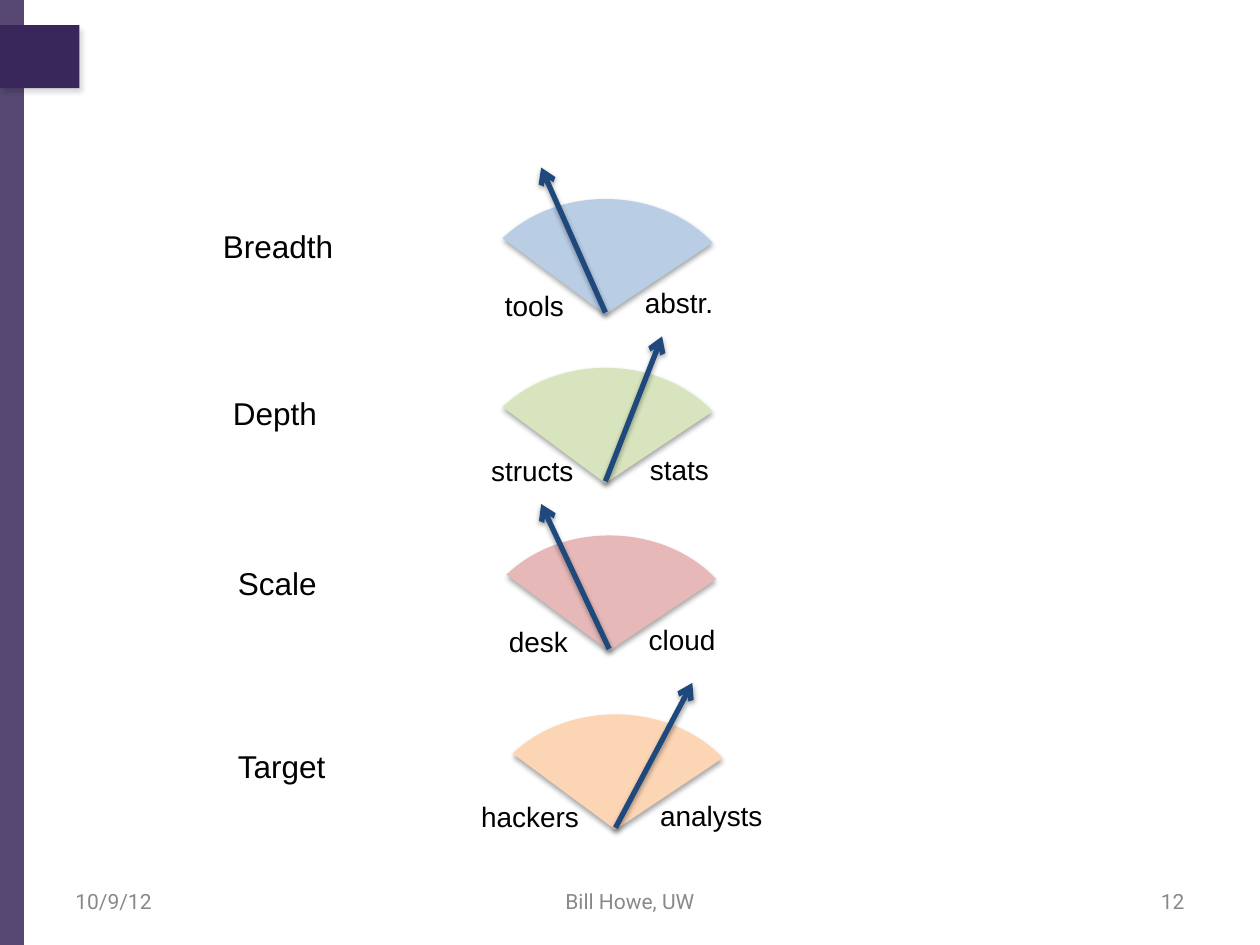
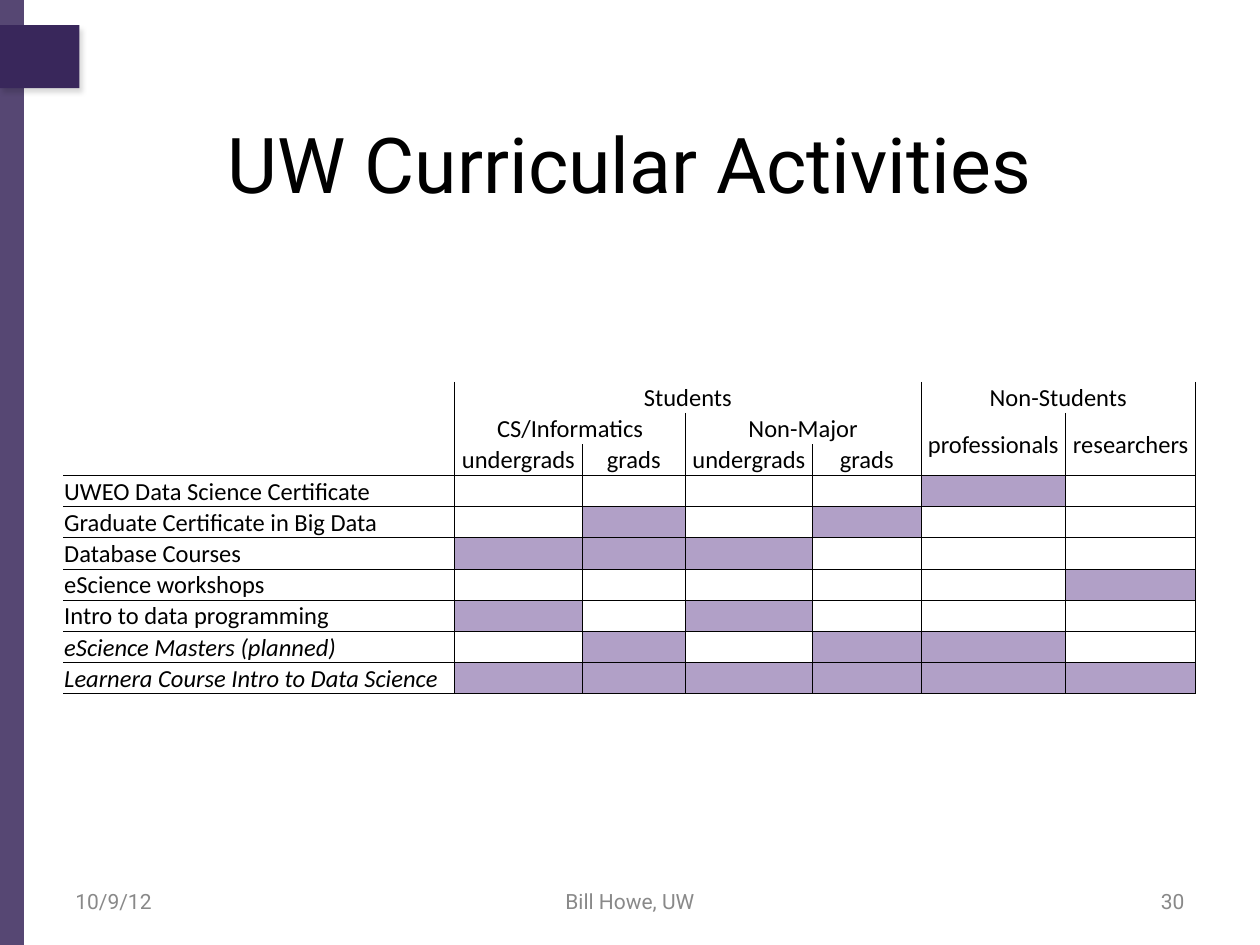
from dataclasses import dataclass
from lxml.etree import SubElement
from pptx import Presentation
from pptx.dml.color import RGBColor as RGB
from pptx.enum.shapes import MSO_CONNECTOR as Line, MSO_SHAPE as Shape
from pptx.enum.text import MSO_ANCHOR as Anchor, PP_ALIGN as Align
from pptx.oxml.ns import qn
from pptx.util import Inches, Pt


@dataclass(frozen=True)
class Theme:
    purple: str = "39275B"
    mark: str = "B1A0C7"
    needle: str = "1F497D"
    ink: str = "000000"
    grey: str = "898989"
    head: str = "Roboto"
    body: str = "Arial"
    grid: str = "Calibri"
    title: int = 44
    name: int = 18
    label: int = 16
    cell: int = 14
    foot: int = 12


T = Theme()
WIDE, HIGH = 10, 7.5
EDGE = 0.5

DATE, AUTHOR = "10/9/12", "Bill Howe, UW"

# Name and its place, colour, fan corner, needle reach,
# then each end's word with its offset from the fan corner.
DIALS = [
    ("Breadth", (1.67, 1.75), "B9CDE5", (3.72, 1.58), -0.51,
     [("tools", 0.19, 0.66), ("abstr.", 1.3, 0.64)]),
    ("Depth", (1.75, 3.08), "D7E4BD", (3.72, 2.92), 0.45,
     [("structs", 0.08, 0.63), ("stats", 1.34, 0.62)]),
    ("Scale", (1.79, 4.43), "E6B9B8", (3.75, 4.25), -0.54,
     [("desk", 0.19, 0.66), ("cloud", 1.3, 0.64)]),
    ("Target", (1.79, 5.88), "FCD5B5", (3.8, 5.67), 0.61,
     [("hackers", -0.08, 0.63), ("analysts", 1.34, 0.62)]),
]
FAN = (2.17, 1.83)
SWEEP = (216.53, 326.29)
RISE = 1.15

TITLE = "UW Curricular Activities"
COLS = [3.11, 1.01, 0.82, 1.01, 0.86, 1.15, 1.03]
ROW = 0.248
# Row, column, rows spanned, columns spanned, text
HEADS = [
    (0, 1, 1, 4, "Students"), (0, 5, 1, 2, "Non-Students"),
    (1, 1, 1, 2, "CS/Informatics"), (1, 3, 1, 2, "Non-Major"),
    (1, 5, 2, 1, "professionals"), (1, 6, 2, 1, "researchers"),
    (2, 1, 1, 1, "undergrads"), (2, 2, 1, 1, "grads"),
    (2, 3, 1, 1, "undergrads"), (2, 4, 1, 1, "grads"),
]
TOP = 3
# Course, audiences it serves (x), planned
COURSES = [
    ("UWEO Data Science Certificate", "....x.", False),
    ("Graduate Certificate in Big Data", ".x.x..", False),
    ("Database Courses", "xxx...", False),
    ("eScience workshops", ".....x", False),
    ("Intro to data programming", "x.x...", False),
    ("eScience Masters (planned)", ".x.xx.", True),
    ("Learnera Course Intro to Data Science", "xxxxxx", True),
]
NO_STYLE = "{2D5ABB26-0587-4C30-8999-92F81FD0307C}"


def style(para, size, face, color=T.ink, align=Align.LEFT, italic=None):
    para.alignment = align
    for run in para.runs:
        font = run.font
        font.size, font.name, font.italic = Pt(size), face, italic
        font.color.rgb = RGB.from_string(color)


def write(slide, text, box, size, face, color=T.ink, align=Align.LEFT,
          anchor=Anchor.TOP):
    frame = slide.shapes.add_textbox(*map(Inches, box)).text_frame
    frame.word_wrap = True
    frame.vertical_anchor = anchor
    frame.text = text
    style(frame.paragraphs[0], size, face, color, align)


def shade(shape, alpha, blur, dist, angle):
    """Give a shape, already filled and lined, a soft black shadow."""
    effects = SubElement(shape.element.spPr, qn("a:effectLst"))
    outer = SubElement(effects, qn("a:outerShdw"), blurRad=str(Pt(blur)),
                       dist=str(Pt(dist)), dir=str(angle * 60000),
                       rotWithShape="0")
    color = SubElement(outer, qn("a:srgbClr"), val=T.ink)
    SubElement(color, qn("a:alpha"), val=str(alpha * 1000))


def draw(slide, kind, box, color):
    shape = slide.shapes.add_shape(kind, *map(Inches, box))
    shape.fill.solid()
    shape.fill.fore_color.rgb = RGB.from_string(color)
    shape.line.fill.background()
    return shape


def start(deck, number):
    """Add a slide with the side band, tab and footers."""
    slide = deck.slides.add_slide(deck.slide_layouts[6])
    band = draw(slide, Shape.RECTANGLE, (0, 0, 0.19, HIGH), T.purple)
    band.shadow.inherit = False
    color = band.element.spPr.find(qn("a:solidFill"))[0]
    SubElement(color, qn("a:alpha"), val="85000")
    tab = draw(slide, Shape.RECTANGLE, (0, 0.2, 0.63, 0.5), T.purple)
    shade(tab, 15, 3, 3, 60)
    side, mid = 2.33, 3.17
    for text, left, width, align in [
            (DATE, EDGE, side, Align.LEFT),
            (AUTHOR, (WIDE - mid) / 2, mid, Align.CENTER),
            (str(number), WIDE - EDGE - side, side, Align.RIGHT)]:
        write(slide, text, (left, 6.95, width, 0.4), T.foot, T.head,
              T.grey, align, Anchor.MIDDLE)
    return slide


def dial(slide, name, spot, color, corner, reach, ends):
    x, y = corner
    fan = draw(slide, Shape.PIE, (*corner, *FAN), color)
    for i, angle in enumerate(SWEEP):
        fan.adjustments[i] = angle * 0.6
    shade(fan, 35, 3.1, 1.8, 90)
    for word, dx, dy in ends:
        write(slide, word, (x + dx, y + dy, 1.07, 0.37), T.label, T.body)
    hub, base = x + FAN[0] / 2, y + 0.9
    needle = slide.shapes.add_connector(
        Line.STRAIGHT, *map(Inches, (hub, base, hub + reach, base - RISE)))
    needle.line.width = Pt(3)
    needle.line.color.rgb = RGB.from_string(T.needle)
    SubElement(needle.line._get_or_add_ln(), qn("a:tailEnd"), type="arrow")
    shade(needle, 38, 3.1, 1.6, 90)
    write(slide, name, (*spot, 1.75, 0.4), T.name, T.body)


def rule(cell, sides):
    """Draw thin lines on the given sides, named in the order L R T B."""
    props = cell._tc.get_or_add_tcPr()
    for side in sides:
        line = SubElement(props, qn("a:ln" + side), w=str(Pt(0.5)))
        fill = SubElement(line, qn("a:solidFill"))
        SubElement(fill, qn("a:srgbClr"), val=T.ink)


def fill_cell(cell, text="", sides="", align=Align.LEFT,
              anchor=Anchor.BOTTOM, italic=None, color=None):
    cell.margin_left = cell.margin_right = cell.margin_top = Inches(0.01)
    cell.margin_bottom = 0
    cell.vertical_anchor = anchor
    cell.text = text
    para = cell.text_frame.paragraphs[0]
    style(para, T.cell, T.grid, align=align, italic=italic)
    if not text:
        SubElement(para._p, qn("a:endParaRPr"), sz=str(T.cell * 100))
    rule(cell, sides)
    if color:
        cell.fill.solid()
        cell.fill.fore_color.rgb = RGB.from_string(color)
    else:
        cell.fill.background()


def chart_out(slide):
    """Lay out the table of courses against audiences."""
    count = TOP + len(COURSES)
    frame = slide.shapes.add_table(
        count, len(COLS),
        *map(Inches, (EDGE, 3.03, sum(COLS), ROW * count)))
    table = frame.table
    table.first_row = table.horz_banding = False
    table._tbl.tblPr.find(qn("a:tableStyleId")).text = NO_STYLE
    for col, width in zip(table.columns, COLS):
        col.width = Inches(width)
    for row in table.rows:
        row.height = Inches(ROW)

    heads = {(r, c): rest for r, c, *rest in HEADS}
    for r in range(TOP):
        for c in range(len(COLS)):
            cell = table.cell(r, c)
            if (r, c) in heads:
                down, across, text = heads[r, c]
                sides = "LRB" if r + down == TOP else "LR"
                fill_cell(cell, text, sides, Align.CENTER,
                          Anchor.MIDDLE if r else Anchor.BOTTOM)
                if down * across > 1:
                    cell.merge(table.cell(r + down - 1, c + across - 1))
            elif c == 0:
                fill_cell(cell, sides="RB" if r == TOP - 1 else "R")
            else:
                fill_cell(cell)

    for r, (course, marks, planned) in enumerate(COURSES, TOP):
        fill_cell(table.cell(r, 0), course, "RTB", italic=planned)
        for c, mark in enumerate(marks, 1):
            fill_cell(table.cell(r, c), sides="LRTB",
                      color=T.mark if mark == "x" else None)


def main():
    deck = Presentation()
    deck.slide_width, deck.slide_height = Inches(WIDE), Inches(HIGH)

    slide = start(deck, 12)
    for item in DIALS:
        dial(slide, *item)

    slide = start(deck, 30)
    write(slide, TITLE, (EDGE, 0.83, WIDE - 2 * EDGE, 0.92), T.title, T.head,
          align=Align.CENTER, anchor=Anchor.MIDDLE)
    chart_out(slide)

    deck.save("out.pptx")


if __name__ == "__main__":
    main()
